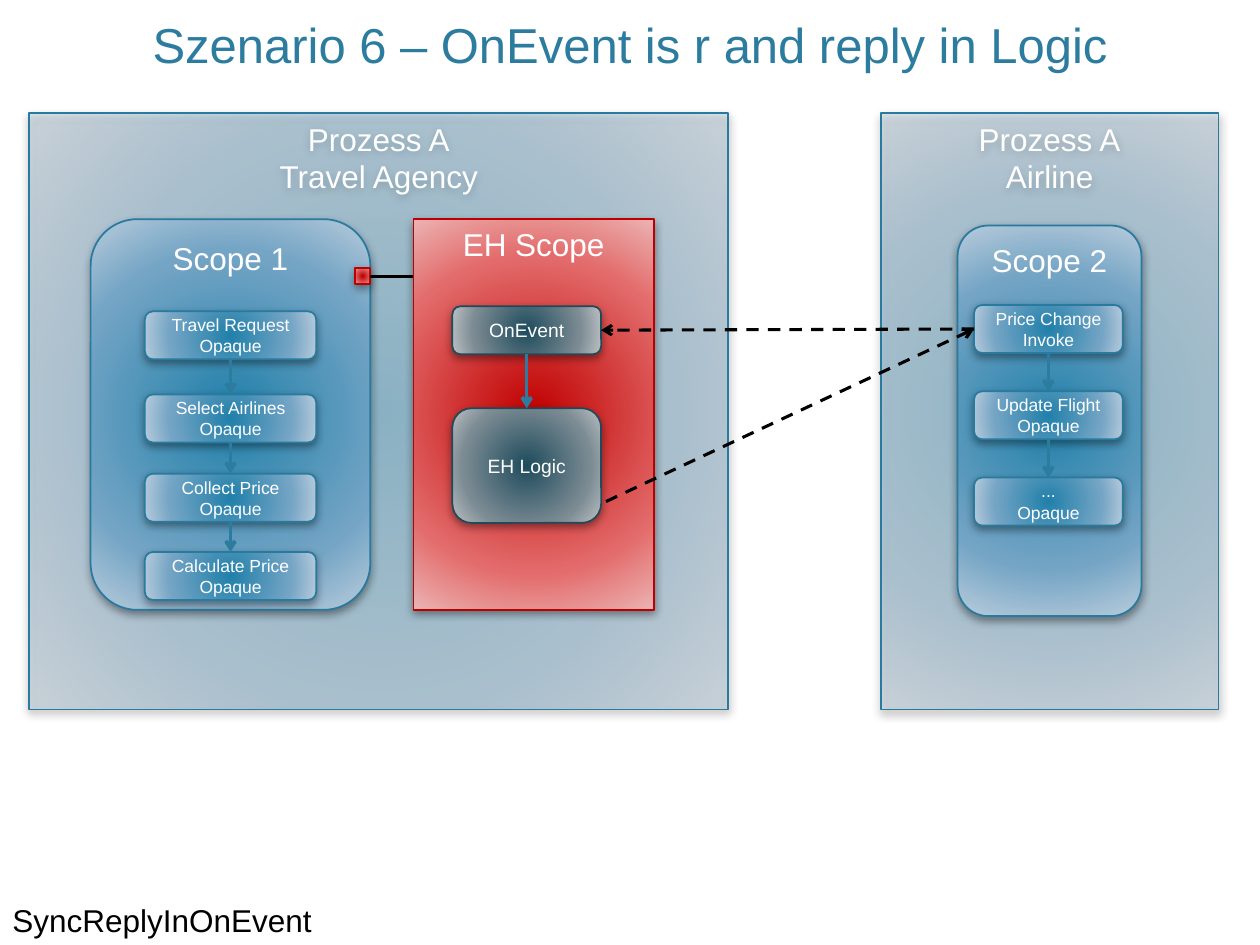
import pptx
import pptx.dml.color
import pptx.enum.dml
import pptx.enum.shapes
import pptx.enum.text
import pptx.oxml
import pptx.oxml.ns
import pptx.util
from dataclasses import dataclass

Pt = pptx.util.Pt
RGB = pptx.dml.color.RGBColor.from_string
SHAPE = pptx.enum.shapes.MSO_SHAPE
ANCHOR = pptx.enum.text.MSO_ANCHOR
ALIGN = pptx.enum.text.PP_ALIGN
NS = pptx.oxml.ns.nsdecls("a")
TOP, LEFT, BOTTOM, RIGHT = range(4)


@dataclass(frozen=True)
class Style:
    """Radial gradient from centre to rim, with its outline."""
    centre: str
    middle: str
    rim: str
    line: str
    opacity: int = 100


@dataclass(frozen=True)
class Theme:
    """Colours and type sizes of the slide."""
    panel: Style = Style("2180AA", "75A5C5", "B8CCDC", "287A9E", 41)
    blue: Style = Style("2180AA", "75A5C5", "B8CCDC", "287A9E")
    red: Style = Style("C00000", "E36B6B", "ECB3B3", "BC0000")
    dark: Style = Style("1F4C5D", "7D8C94", "BCC2C5", "224957")
    accent: str = "2C7C9F"
    black: str = "000000"
    white: str = "FFFFFF"
    font: str = "Arial"
    title: int = 28
    heading: int = 18
    event: int = 11
    step: int = 10


THEME = Theme()
STEP_H = 27.4


def write(sp, text, size=THEME.heading, color=THEME.white, align=ALIGN.CENTER,
          anchor=ANCHOR.TOP, wrap=True):
    """Write text into a shape, one paragraph for each line."""
    tf = sp.text_frame
    tf.word_wrap = wrap
    tf.vertical_anchor = anchor
    for i, line in enumerate(text.split("\n")):
        p = tf.add_paragraph() if i else tf.paragraphs[0]
        p.alignment = align
        r = p.add_run()
        r.text = line
        r.font.name = THEME.font
        r.font.size = Pt(size)
        r.font.color.rgb = RGB(color)


def add_text(s, box, text, **fmt):
    """Add a text box with formatted text."""
    sp = s.shapes.add_textbox(*map(Pt, box))
    write(sp, text, **fmt)
    return sp


def add_box(s, box, style, text="", kind=SHAPE.ROUNDED_RECTANGLE, **fmt):
    """Add a shape with radial gradient, outline, soft shadow and text."""
    sp = s.shapes.add_shape(kind, *map(Pt, box))
    stops = "".join(
        f'<a:gs pos="{pos}000"><a:srgbClr val="{color}">'
        f'<a:alpha val="{style.opacity}000"/></a:srgbClr></a:gs>'
        for pos, color in ((0, style.centre), (69, style.middle), (100, style.rim)))
    fill = pptx.oxml.parse_xml(
        f'<a:gradFill {NS} rotWithShape="1"><a:gsLst>{stops}</a:gsLst>'
        '<a:path path="circle"><a:fillToRect l="100000" t="100000" '
        'r="100000" b="100000"/></a:path></a:gradFill>')
    spPr = sp._element.spPr
    spPr.find(pptx.oxml.ns.qn("a:prstGeom")).addnext(fill)
    sp.line.color.rgb = RGB(style.line)
    sp.line.width = Pt(1)
    sp.shadow.inherit = False
    spPr.find(pptx.oxml.ns.qn("a:effectLst")).append(pptx.oxml.parse_xml(
        f'<a:outerShdw {NS} blurRad="{Pt(5)}" dist="{Pt(2)}" dir="5400000" '
        'rotWithShape="0"><a:srgbClr val="000000"><a:alpha val="40000"/>'
        '</a:srgbClr></a:outerShdw>'))
    if text:
        write(sp, text, **fmt)
    return sp


def add_line(s, start, end, color=THEME.black, width=1.75, dashed=False, arrow=True):
    """Draw a line between ends that are (x, y) points or (shape, side) joints."""
    joints = [not isinstance(e[0], (int, float)) for e in (start, end)]
    points = [(0, 0) if j else e for j, e in zip(joints, (start, end))]
    ln = s.shapes.add_connector(pptx.enum.shapes.MSO_CONNECTOR.STRAIGHT,
                                *(Pt(v) for point in points for v in point))
    if joints[0]:
        ln.begin_connect(*start)
    if joints[1]:
        ln.end_connect(*end)
    ln.line.color.rgb = RGB(color)
    ln.line.width = Pt(width)
    if dashed:
        ln.line.dash_style = pptx.enum.dml.MSO_LINE.DASH
    if arrow:
        ln.line._get_or_add_ln().append(
            pptx.oxml.parse_xml(f'<a:tailEnd {NS} type="arrow"/>'))
    ln._element.spPr.append(pptx.oxml.parse_xml(f'<a:effectLst {NS}/>'))


def add_flow(s, upper, lower):
    """Join two stacked boxes with a downward arrow."""
    add_line(s, (upper, BOTTOM), (lower, TOP), color=THEME.accent, width=2)


def add_scope(s, box, name, steps, tops, inset, step_w):
    """Build a blue scope with its chain of steps and return the steps."""
    x, y, _, _ = box
    add_box(s, box, THEME.blue, name)
    boxes = [add_box(s, (x + inset, y + top, step_w, STEP_H), THEME.blue, text,
                     size=THEME.step, anchor=ANCHOR.MIDDLE)
             for text, top in zip(steps, tops)]
    for upper, lower in zip(boxes, boxes[1:]):
        add_flow(s, upper, lower)
    return boxes


def add_event_scope(s, box):
    """Build the red event handler scope and return its OnEvent box."""
    x, y, _, _ = box
    add_box(s, box, THEME.red, "EH Scope", SHAPE.RECTANGLE)
    event, logic = (
        add_box(s, (x + 22.3, y + top, 85, h), THEME.dark, text,
                size=THEME.event, anchor=ANCHOR.MIDDLE)
        for text, top, h in (("OnEvent", 49.7, STEP_H), ("EH Logic", 108, 65.5)))
    add_flow(s, event, logic)
    return event


def add_agency(s, box):
    """Build the travel agency process and return its OnEvent box."""
    x, y, _, _ = box
    add_box(s, box, THEME.panel, "Prozess A\nTravel Agency", SHAPE.RECTANGLE)
    event = add_event_scope(s, (x + 219.6, y + 60.5, 137.5, 223.2))
    add_scope(s, (x + 35.2, y + 60.5, 159.8, 223.2), "Scope 1",
              ("Travel Request\nOpaque", "Select Airlines\nOpaque",
               "Collect Price\nOpaque", "Calculate Price\nOpaque"),
              (52.6, 100.1, 145.4, 190.1), 31, 97.9)
    marker = add_box(s, (x + 186.4, y + 88.3, 8.6, 9.4), THEME.red, kind=SHAPE.RECTANGLE)
    add_line(s, (marker, RIGHT), (x + 219.6, y + 93), arrow=False)
    return event


def add_airline(s, box):
    """Build the airline process and return its Price Change box."""
    x, y, _, _ = box
    add_box(s, box, THEME.panel, "Prozess A\nAirline", SHAPE.RECTANGLE)
    steps = add_scope(s, (x + 43.9, y + 64.1, 105.1, 223.2), "Scope 2",
                      ("Price Change\nInvoke", "Update Flight\nOpaque", "...\nOpaque"),
                      [45.4 + 49.3 * i for i in range(3)], 9.4, 85)
    return steps[0]


def main():
    """Build the slide and save it."""
    prs = pptx.Presentation()
    prs.slide_width, prs.slide_height = Pt(720), Pt(540)
    s = prs.slides.add_slide(prs.slide_layouts[6])
    price = add_airline(s, (503.3, 64.8, 193, 340.6))
    event = add_agency(s, (16.6, 64.8, 399.6, 340.6))
    add_line(s, (price, LEFT), (event, RIGHT), dashed=True)
    add_line(s, (346.3, 286.6), (price, LEFT), dashed=True)
    add_text(s, (43.2, 8.6, 633.6, 36.7), "Szenario 6 – OnEvent is r and reply in Logic",
             size=THEME.title, color=THEME.accent, anchor=ANCHOR.BOTTOM)
    add_text(s, (0, 511.2, 190, 28.8), "SyncReplyInOnEvent",
             color=THEME.black, align=ALIGN.LEFT, wrap=False)
    prs.save("out.pptx")


if __name__ == "__main__":
    main()
